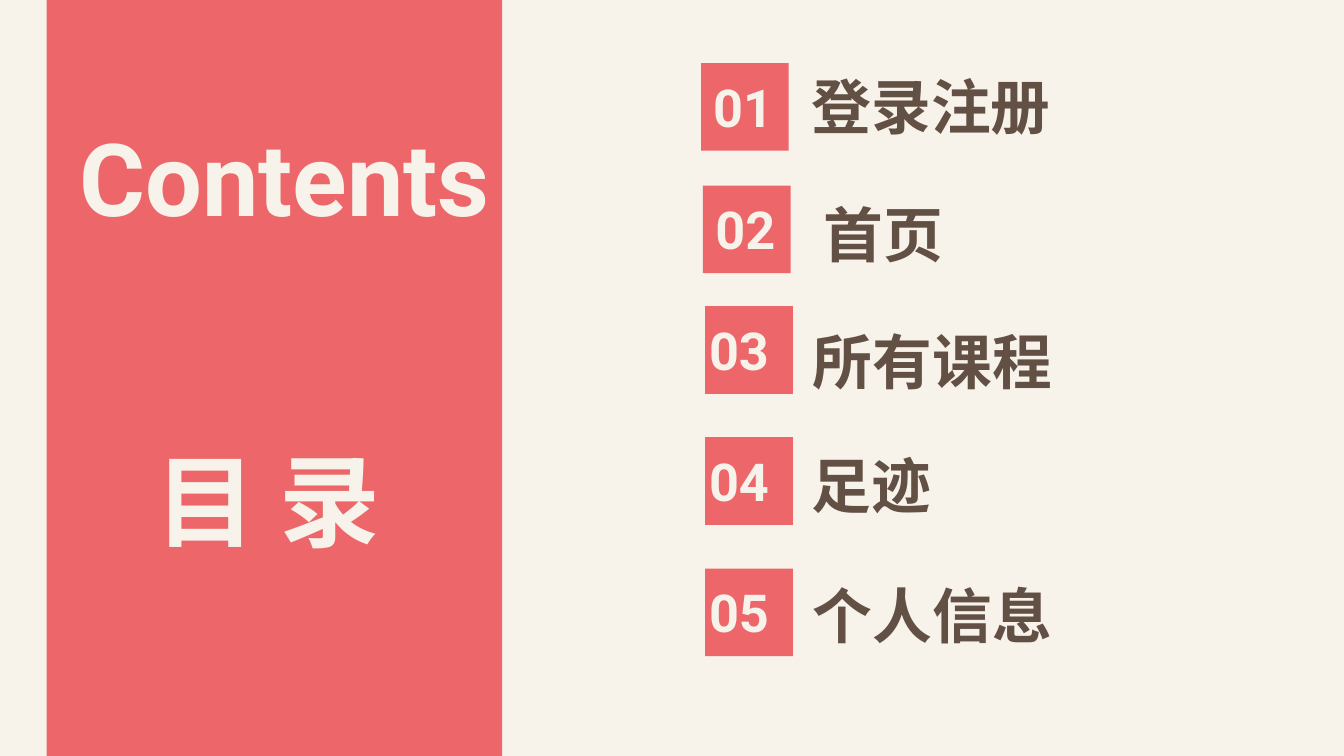
import dataclasses
import pptx
import pptx.dml.color
import pptx.enum.shapes
import pptx.oxml
import pptx.oxml.ns
import pptx.util

Pt = pptx.util.Pt


@dataclasses.dataclass(frozen=True)
class Theme:
    """Colours, fonts and type sizes of the deck."""
    cream: str = "F7F2EA"
    coral: str = "ED6669"
    brown: str = "625045"
    latin: str = "Roboto"
    asian: str = "Noto Sans CJK JP"
    title: int = 54
    label: int = 32
    digit: int = 28


THEME = Theme()


def tint(text):
    """Return a colour from its hex text."""
    return pptx.dml.color.RGBColor.from_string(text)


def block(shapes, box):
    """Draw a plain coral rectangle in the box."""
    kind = pptx.enum.shapes.MSO_SHAPE.RECTANGLE
    rect = shapes.add_shape(kind, *map(Pt, box))
    rect.shadow.inherit = False
    rect.fill.solid()
    rect.fill.fore_color.rgb = tint(THEME.coral)
    rect.line.fill.background()


def write(shapes, box, words, size, color, face=THEME.latin, wrap=True):
    """Write one bold line of text in the box."""
    frame = shapes.add_textbox(*map(Pt, box)).text_frame
    frame.word_wrap = wrap
    run = frame.paragraphs[0].add_run()
    run.text = words
    font = run.font
    font.name, font.size, font.bold = face, Pt(size), True
    font.color.rgb = tint(color)
    east = pptx.oxml.parse_xml(
        '<a:ea xmlns:a="http://schemas.openxmlformats.org/drawingml/2006/main"'
        f' typeface="{THEME.asian}"/>')
    run._r.get_or_add_rPr().find(pptx.oxml.ns.qn("a:latin")).addnext(east)


def panel(slide, box):
    """Place the coral panel with both titles."""
    left, top, _, _ = box
    block(slide.shapes, box)
    write(slide.shapes, (left + 10.5, top + 58.3, 332.6, 72.7), "Contents",
          THEME.title, THEME.cream)
    write(slide.shapes, (left + 51.5, top + 231.6, 155.5, 72.7), "目 录",
          THEME.title, THEME.cream, THEME.asian)


def entry(slide, box, number, shift, words, place):
    """Place a numbered square in the box and its label at the place."""
    left, top, side, _ = box
    badge = slide.shapes.add_group_shape().shapes
    block(badge, box)
    write(badge, (left + shift, top + 2.9, side + 8, 41), f"{number:02}",
          THEME.digit, THEME.cream)
    width = THEME.label * len(words) + 16
    write(slide.shapes, (*place, width, 46), words,
          THEME.label, THEME.brown, wrap=False)


def main():
    """Build the contents slide."""
    deck = pptx.Presentation()
    deck.slide_width, deck.slide_height = Pt(720), Pt(405)
    slide = deck.slides.add_slide(deck.slide_layouts[6])
    fill = slide.background.fill
    fill.solid()
    fill.fore_color.rgb = tint(THEME.cream)
    panel(slide, (25, 0, 244, 405))
    side = 47
    items = [
        (375.6, 33.8, -0.6, "登录注册", (427.8, 33.8)),
        (376.6, 99.4, -0.4, "首页", (434, 102.4)),
        (377.8, 164, -5, "所有课程", (428.4, 170.6)),
        (377.8, 234.2, -5, "足迹", (427.8, 237)),
        (377.8, 304.6, -5, "个人信息", (428.4, 306.6)),
    ]
    for number, (left, top, shift, words, place) in enumerate(items, 1):
        entry(slide, (left, top, side, side), number, shift, words, place)
    deck.save("out.pptx")


if __name__ == "__main__":
    main()
